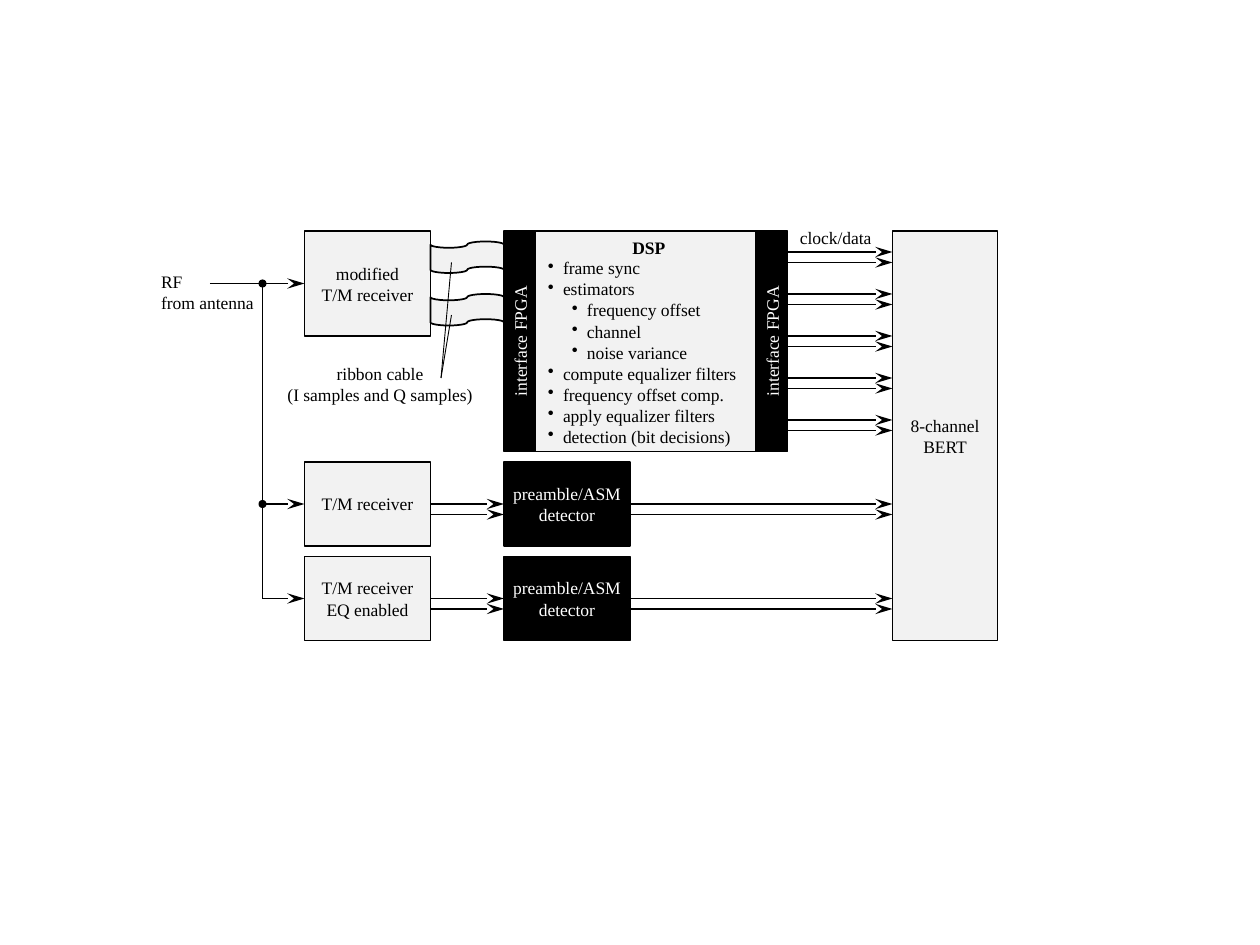
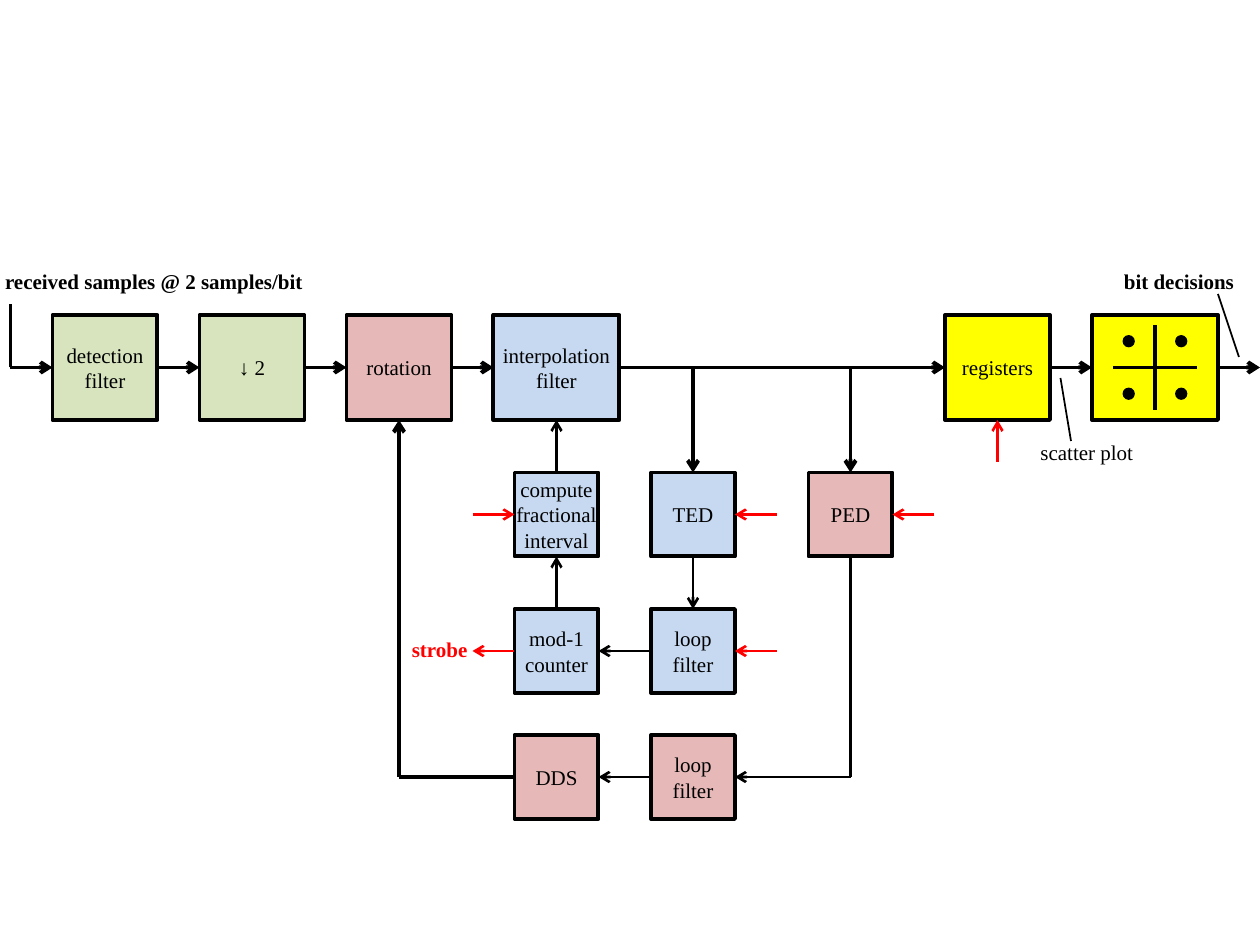
from lxml import etree
from pptx import Presentation
from pptx.dml.color import RGBColor
from pptx.enum.shapes import MSO_CONNECTOR, MSO_SHAPE
from pptx.enum.text import MSO_ANCHOR, MSO_AUTO_SIZE, PP_ALIGN
from pptx.oxml.ns import qn
from pptx.util import Inches, Pt

RECT, TAPE, OVAL = MSO_SHAPE.RECTANGLE, MSO_SHAPE.FLOWCHART_PUNCHED_TAPE, MSO_SHAPE.OVAL
STRAIGHT = MSO_CONNECTOR.STRAIGHT
LEFT, CENTER = PP_ALIGN.LEFT, PP_ALIGN.CENTER
TOP, MIDDLE = MSO_ANCHOR.TOP, MSO_ANCHOR.MIDDLE
GROW = MSO_AUTO_SIZE.SHAPE_TO_FIT_TEXT

FONT = "Times New Roman"
BLACK, WHITE, RED, GRAY = "000000", "FFFFFF", "FF0000", "F2F2F2"
GREEN, ROSE, BLUE, YELLOW = "D7E4BD", "E6B9B8", "C6D9F1", "FFFF00"


def color(value):
    return RGBColor.from_string(value)


def grid(*units):
    return [Inches(u / 12) for u in units]


def assign(obj, values):
    for name, value in values.items():
        setattr(obj, name, value)


class Diagram:
    """Draws block diagram elements on one slide, on a grid of twelfths of an inch."""

    def __init__(self, prs, size, outline, arrow, arrow_length):
        self.shapes = prs.slides.add_slide(prs.slide_layouts[6]).shapes
        self.size, self.outline = size, outline
        self.arrow, self.arrow_length = arrow, arrow_length

    def group(self):
        self.shapes = self.shapes.add_group_shape().shapes

    def shape(self, kind, x, y, w, h, fill, outline):
        s = self.shapes.add_shape(kind, *grid(x, y, w, h))
        s.shadow.inherit = False
        s.fill.solid()
        s.fill.fore_color.rgb = color(fill)
        s.line.color.rgb = color(BLACK)
        s.line.width = Pt(outline)
        return s

    def fill_text(self, tf, lines, ink=BLACK, bold=False, align=CENTER, inset=0):
        assign(tf, {"margin_left": Inches(inset), "margin_right": Inches(inset),
                    "margin_top": Inches(0.05), "margin_bottom": Inches(0.05)})
        for i, line in enumerate(lines):
            p = tf.paragraphs[0] if i == 0 else tf.add_paragraph()
            p.alignment = align
            r = p.add_run()
            r.text = line
            assign(r.font, {"name": FONT, "size": Pt(self.size), "bold": bold})
            r.font.color.rgb = color(ink)

    def box(self, x, y, w, h, fill, text="", vertical=False):
        s = self.shape(RECT, x, y, w, h, fill, self.outline)
        tf = s.text_frame
        assign(tf, {"word_wrap": True, "vertical_anchor": MIDDLE})
        if text:
            self.fill_text(tf, text.split("\n"), WHITE if fill == BLACK else BLACK)
        if vertical:
            tf._txBody.bodyPr.set("vert", "vert270")

    def bullets(self, x, y, w, h, fill, items, top):
        tf = self.shape(RECT, x, y, w, h, fill, self.outline).text_frame
        assign(tf, {"word_wrap": True, "vertical_anchor": MIDDLE})
        self.fill_text(tf, [text for _, text in items], align=LEFT, inset=0.1)
        tf.margin_top = Inches(top)
        for p, (level, _) in zip(tf.paragraphs, items):
            p.level = level
            pPr = p._p.get_or_add_pPr()
            pPr.set("marL", str(Inches(0.31 if level else 0.12)))
            pPr.set("indent", str(-Inches(0.12)))
            etree.SubElement(pPr, qn("a:buChar")).set("char", "•")

    def label(self, x, y, w, h, text, ink=BLACK, bold=False, align=LEFT, inset=0.1):
        tf = self.shapes.add_textbox(Inches(x), Inches(y), Inches(w), Inches(h)).text_frame
        assign(tf, {"word_wrap": False, "auto_size": GROW, "vertical_anchor": TOP})
        self.fill_text(tf, text.split("\n"), ink, bold, align, inset)

    def line(self, x1, y1, x2, y2, width=1, ink=BLACK, arrow=False):
        c = self.shapes.add_connector(STRAIGHT, *grid(x1, y1, x2, y2))
        c.line.color.rgb = color(ink)
        c.line.width = Pt(width)
        spPr = c._element.spPr
        if arrow:
            end = etree.SubElement(spPr.find(qn("a:ln")), qn("a:tailEnd"))
            for name, value in {"type": self.arrow, "w": "med", "len": self.arrow_length}.items():
                end.set(name, value)
        etree.SubElement(spPr, qn("a:effectLst"))

    def arrows(self, ends, width=1, ink=BLACK):
        for end in ends:
            self.line(*end, width, ink, arrow=True)

    def pair(self, x1, x2, y):
        self.arrows([(x1, y, x2, y), (x1, y + 1, x2, y + 1)])

    def dot(self, x, y, d):
        self.shape(OVAL, x - d / 2, y - d / 2, d, d, BLACK, 1)


def receiver_slide(prs):
    d = Diagram(prs, size=10, outline=1, arrow="stealth", arrow_length="lg")

    d.box(29, 22, 12, 10, GRAY, "modified\nT/M receiver")
    d.arrows([(20, 27, 29, 27)])
    d.label(1.18, 2.1, 0.95, 0.44, "RF\nfrom antenna")
    for y in (23, 28):
        d.shape(TAPE, 41, y, 7, 3, GRAY, 1)
    for y in (30, 25):
        d.line(42, 36, 43, y, 0.5)
    d.label(2.17, 2.83, 1.69, 0.44, "ribbon cable\n(I samples and Q samples)", align=CENTER)

    tasks = [(0, "frame sync"), (0, "estimators"), (1, "frequency offset"), (1, "channel"),
             (1, "noise variance"), (0, "compute equalizer filters"),
             (0, "frequency offset comp."), (0, "apply equalizer filters"),
             (0, "detection (bit decisions)")]
    d.bullets(51, 22, 21, 21, GRAY, tasks, top=0.22)
    d.label(4.92, 1.83, 0.47, 0.27, "DSP", bold=True)
    for y in range(24, 41, 4):
        d.pair(75, 85, y)
    d.label(6.25, 1.75, 0.78, 0.27, "clock/data")
    for x in (48, 72):
        d.box(x, 22, 3, 21, BLACK, "interface FPGA", vertical=True)

    for y, name in ((44, "T/M receiver"), (53, "T/M receiver\nEQ enabled")):
        d.box(29, y, 12, 8, GRAY, name)
        d.box(48, y, 12, 8, BLACK, "preamble/ASM\ndetector")
        d.arrows([(25, y + 4, 29, y + 4)])
        d.pair(41, 48, y + 4)
        d.pair(60, 85, y + 4)
    d.box(85, 22, 10, 39, GRAY, "8-channel\nBERT")
    d.line(25, 57, 25, 27)
    for y in (48, 27):
        d.dot(25, y, 0.6)


def synchronizer_slide(prs):
    d = Diagram(prs, size=12, outline=2.25, arrow="arrow", arrow_length="med")

    main_row = [(5, 10, GREEN, "detection filter"), (19, 10, GREEN, "↓ 2"),
                (33, 10, ROSE, "rotation"), (47, 12, BLUE, "interpolation filter"),
                (90, 10, YELLOW, "registers"), (104, 12, YELLOW, "")]
    for x, w, fill, name in main_row:
        d.box(x, 30, w, 10, fill, name)
    loop_blocks = [(49, 45, BLUE, "compute\nfractional\ninterval"), (62, 45, BLUE, "TED"),
                   (77, 45, ROSE, "PED"), (49, 58, BLUE, "mod-1\ncounter"),
                   (62, 58, BLUE, "loop\nfilter"), (49, 70, ROSE, "DDS"),
                   (62, 70, ROSE, "loop\nfilter")]
    for x, y, fill, name in loop_blocks:
        d.box(x, y, 8, 8, fill, name)

    starts = [1] + [x + w for x, w, _, _ in main_row]
    stops = [x for x, _, _, _ in main_row] + [120]
    d.arrows([(a, 35, b, 35) for a, b in zip(starts, stops)], 2.25)
    d.arrows([(66, 35, 66, 45), (81, 35, 81, 45), (38, 74, 38, 40)], 2.25)
    d.arrows([(66, 53, 66, 58), (62, 62, 57, 62), (53, 58, 53, 53), (53, 45, 53, 40),
              (81, 74, 70, 74), (62, 74, 57, 74)], 1.5)
    d.arrows([(49, 62, 45, 62), (74, 49, 70, 49), (74, 62, 70, 62), (89, 49, 85, 49),
              (95, 44, 95, 40), (45, 49, 49, 49)], 1.5, RED)
    d.line(81, 53, 81, 74, 1.5)
    d.line(38, 74, 49, 74, 2.25)
    d.line(1, 35, 1, 29, 2.25)
    d.line(118, 34, 116, 28)
    d.line(102, 42, 101, 36)

    d.label(3.17, 5, 0.65, 0.3, "strobe", RED, bold=True)
    d.label(0.04, 2.08, 2.39, 0.3, "received samples @ 2 samples/bit", bold=True, inset=0)
    d.label(8.92, 2.08, 0.9, 0.3, "bit decisions", bold=True, inset=0)
    d.label(8.16, 3.44, 0.96, 0.3, "scatter plot")

    d.group()
    d.line(110, 31, 110, 39, 2.25)
    d.line(106, 35, 114, 35, 2.25)
    for x in (107.5, 112.5):
        for y in (32.5, 37.5):
            d.dot(x, y, 1)


def main():
    prs = Presentation()
    prs.slide_width, prs.slide_height = Inches(10), Inches(7.5)
    receiver_slide(prs)
    synchronizer_slide(prs)
    prs.save("out.pptx")


if __name__ == "__main__":
    main()
